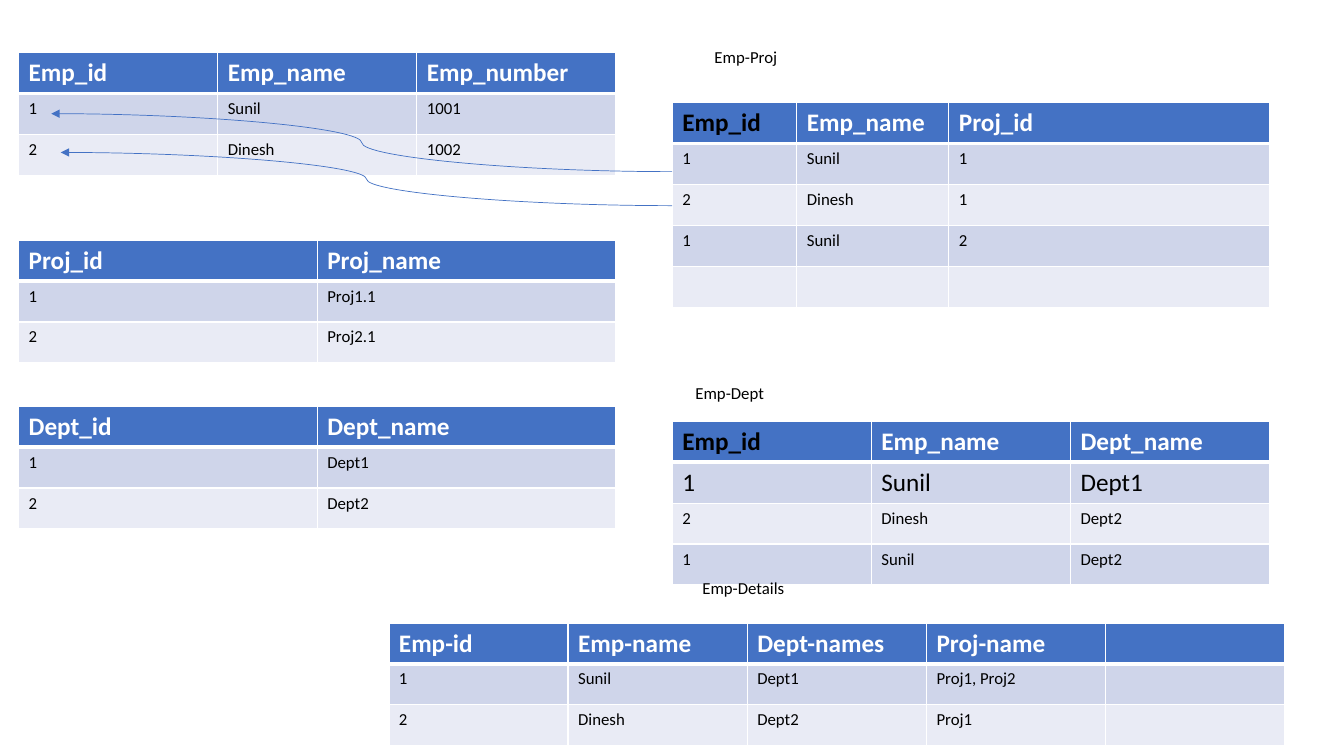
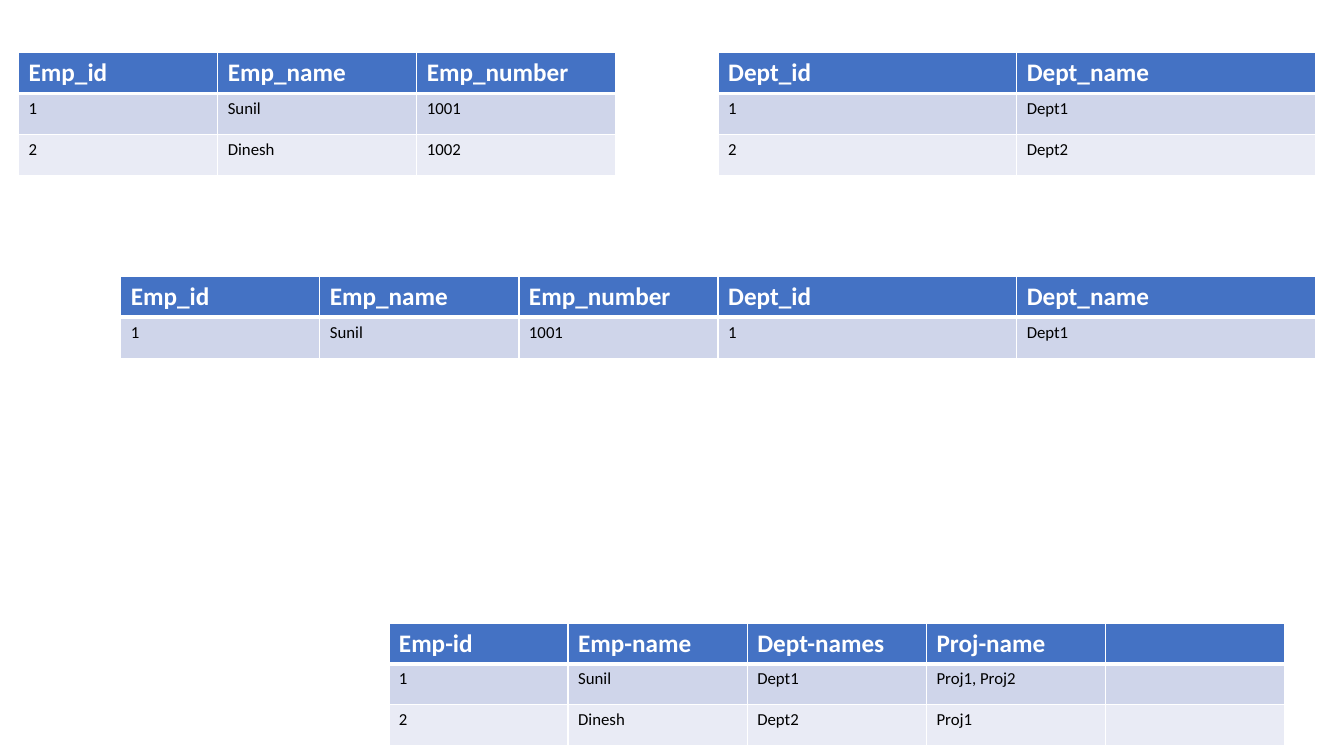
from dataclasses import dataclass, replace

from lxml import etree
from pptx import Presentation
from pptx.dml.color import RGBColor
from pptx.enum.shapes import MSO_CONNECTOR
from pptx.enum.text import MSO_AUTO_SIZE
from pptx.oxml.ns import qn
from pptx.slide import Slide
from pptx.table import _Cell
from pptx.text.text import _Paragraph
from pptx.util import Pt

# Shared style
WHITE = RGBColor(0xFF, 0xFF, 0xFF)
BLACK = RGBColor(0x00, 0x00, 0x00)
BLUE = RGBColor(0x44, 0x72, 0xC4)
BANDS = (RGBColor(0xCF, 0xD5, 0xEA), RGBColor(0xE9, 0xEB, 0xF5))
FONT = "Calibri"
LARGE, SMALL = 18, 12
CURVE = MSO_CONNECTOR.CURVE
FIT_SHAPE = MSO_AUTO_SIZE.SHAPE_TO_FIT_TEXT

# Shared measures, in points
ROW_HEIGHT = 29.2
TABLE_WIDTH = 426.67
DETAILS_WIDTH = 640
THIN, THICK = 1, 3
LEFT, TOP = 13.3, 37.6
RIGHT = 480.2
FAR_RIGHT = 512.9
JOIN_LEFT, JOIN_TOP = FAR_RIGHT - TABLE_WIDTH, 197.4


@dataclass(frozen=True)
class Relation:
    """A table whose columns are equal unless their widths are given."""
    rows: tuple[tuple[str, ...], ...]
    width: float = TABLE_WIDTH
    column_widths: tuple[float, ...] = ()
    black_key: bool = False
    large_rows: tuple[int, ...] = (0,)


@dataclass(frozen=True)
class Placed:
    relation: Relation
    left: float
    top: float


@dataclass(frozen=True)
class Label:
    text: str
    left: float
    top: float
    width: float


@dataclass(frozen=True)
class Arrow:
    start: tuple[float, float]
    end: tuple[float, float]


# Relations
EMPLOYEES = Relation((
    ("Emp_id", "Emp_name", "Emp_number"),
    ("1", "Sunil", "1001"),
    ("2", "Dinesh", "1002"),
))
PROJECTS = Relation((
    ("Proj_id", "Proj_name"),
    ("1", "Proj1.1"),
    ("2", "Proj2.1"),
))
DEPARTMENTS = Relation((
    ("Dept_id", "Dept_name"),
    ("1", "Dept1"),
    ("2", "Dept2"),
))
EMPLOYEE_PROJECTS = Relation((
    ("Emp_id", "Emp_name", "Proj_id"),
    ("1", "Sunil", "1"),
    ("2", "Dinesh", "1"),
    ("1", "Sunil", "2"),
    ("", "", ""),
), column_widths=(89, 108.6, 229.07), black_key=True)
EMPLOYEE_DEPARTMENTS = Relation((
    ("Emp_id", "Emp_name", "Dept_name"),
    ("1", "Sunil", "Dept1"),
    ("2", "Dinesh", "Dept2"),
    ("1", "Sunil", "Dept2"),
), black_key=True, large_rows=(0, 1))
DETAILS = Relation((
    ("Emp-id", "Emp-name", "Dept-names", "Proj-name", ""),
    ("1", "Sunil", "Dept1", "Proj1, Proj2", ""),
    ("2", "Dinesh", "Dept2", "Proj1", ""),
), width=DETAILS_WIDTH)
PLACED_EMPLOYEES = Placed(EMPLOYEES, LEFT, TOP)
PLACED_DETAILS = Placed(DETAILS, 277.8, 445)


def first_record(relation: Relation) -> Relation:
    return replace(relation, rows=relation.rows[:2])


# Drawing functions
def add_run(paragraph: _Paragraph, text: str, size: float,
            color: RGBColor, bold: bool = False) -> None:
    run = paragraph.add_run()
    run.text = text
    run.font.name = FONT
    run.font.size = Pt(size)
    run.font.bold = bold
    run.font.color.rgb = color


def set_borders(cell: _Cell, top: float, bottom: float) -> None:
    properties = cell._tc.get_or_add_tcPr()
    widths = {"a:lnL": THIN, "a:lnR": THIN, "a:lnT": top, "a:lnB": bottom}
    for tag, width in widths.items():
        line = etree.SubElement(properties, qn(tag), w=str(Pt(width)))
        fill = etree.SubElement(line, qn("a:solidFill"))
        etree.SubElement(fill, qn("a:srgbClr"), val=str(WHITE))


def draw_relation(slide: Slide, placed: Placed) -> None:
    relation = placed.relation
    row_count, column_count = len(relation.rows), len(relation.rows[0])
    table = slide.shapes.add_table(
        row_count, column_count, Pt(placed.left), Pt(placed.top),
        Pt(relation.width), Pt(ROW_HEIGHT * row_count)).table
    equal_widths = (relation.width / column_count,) * column_count
    for column, width in zip(table.columns, relation.column_widths or equal_widths):
        column.width = Pt(width)
    for row_index, values in enumerate(relation.rows):
        table.rows[row_index].height = Pt(ROW_HEIGHT)
        header = row_index == 0
        size = LARGE if row_index in relation.large_rows else SMALL
        for column_index, text in enumerate(values):
            cell = table.cell(row_index, column_index)
            set_borders(cell, top=THICK if row_index == 1 else THIN,
                        bottom=THICK if header else THIN)
            cell.fill.solid()
            cell.fill.fore_color.rgb = BLUE if header else BANDS[(row_index - 1) % 2]
            black = not header or (relation.black_key and column_index == 0)
            if text:
                add_run(cell.text_frame.paragraphs[0], text, size,
                        BLACK if black else WHITE, bold=header)


def draw_label(slide: Slide, label: Label) -> None:
    box = slide.shapes.add_textbox(
        Pt(label.left), Pt(label.top), Pt(label.width), Pt(21.8))
    box.text_frame.word_wrap = False
    box.text_frame.auto_size = FIT_SHAPE
    add_run(box.text_frame.paragraphs[0], label.text, SMALL, BLACK)


def draw_arrow(slide: Slide, arrow: Arrow) -> None:
    connector = slide.shapes.add_connector(
        CURVE, *(Pt(value) for value in arrow.start + arrow.end))
    connector.line.color.rgb = BLUE
    connector.line.width = Pt(0.5)
    etree.SubElement(connector.get_or_add_ln(), qn("a:tailEnd"), type="triangle")
    etree.SubElement(connector._element.spPr, qn("a:effectLst"))


presentation = Presentation()
presentation.slide_width = Pt(960)
presentation.slide_height = Pt(540)
blank_layout = presentation.slide_layouts[6]

# Slide 1: base tables and the tables that link them
links_slide = presentation.slides.add_slide(blank_layout)
for placed in (
    PLACED_EMPLOYEES,
    Placed(PROJECTS, LEFT, 171.6),
    Placed(DEPARTMENTS, LEFT, 290.2),
    Placed(EMPLOYEE_PROJECTS, RIGHT, 73.4),
    Placed(EMPLOYEE_DEPARTMENTS, RIGHT, 301),
    PLACED_DETAILS,
):
    draw_relation(links_slide, placed)
for arrow in (
    Arrow((RIGHT, 122.6), (36.7, 81.2)),
    Arrow((RIGHT, 146.9), (43.4, 108.9)),
):
    draw_arrow(links_slide, arrow)
for label in (
    Label("Emp-Proj", 503.3, 29.5, 59.8),
    Label("Emp-Dept", 489.6, 270, 64.1),
    Label("Emp-Details", 494.6, 409, 73.4),
):
    draw_label(links_slide, label)

# Slide 2: employees joined with departments
join_slide = presentation.slides.add_slide(blank_layout)
for placed in (
    PLACED_EMPLOYEES,
    Placed(DEPARTMENTS, FAR_RIGHT, TOP),
    PLACED_DETAILS,
    Placed(first_record(EMPLOYEES), JOIN_LEFT, JOIN_TOP),
    Placed(first_record(DEPARTMENTS), FAR_RIGHT, JOIN_TOP),
):
    draw_relation(join_slide, placed)

presentation.save("out.pptx")
